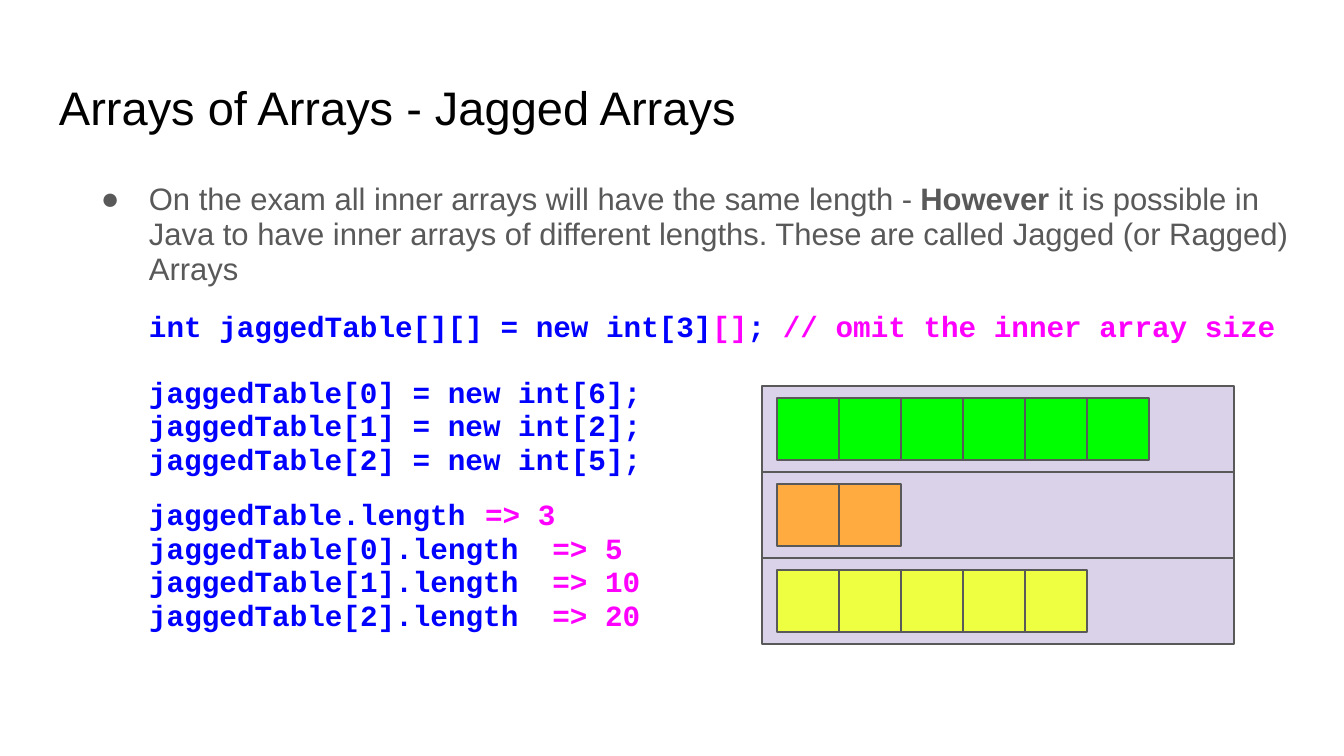
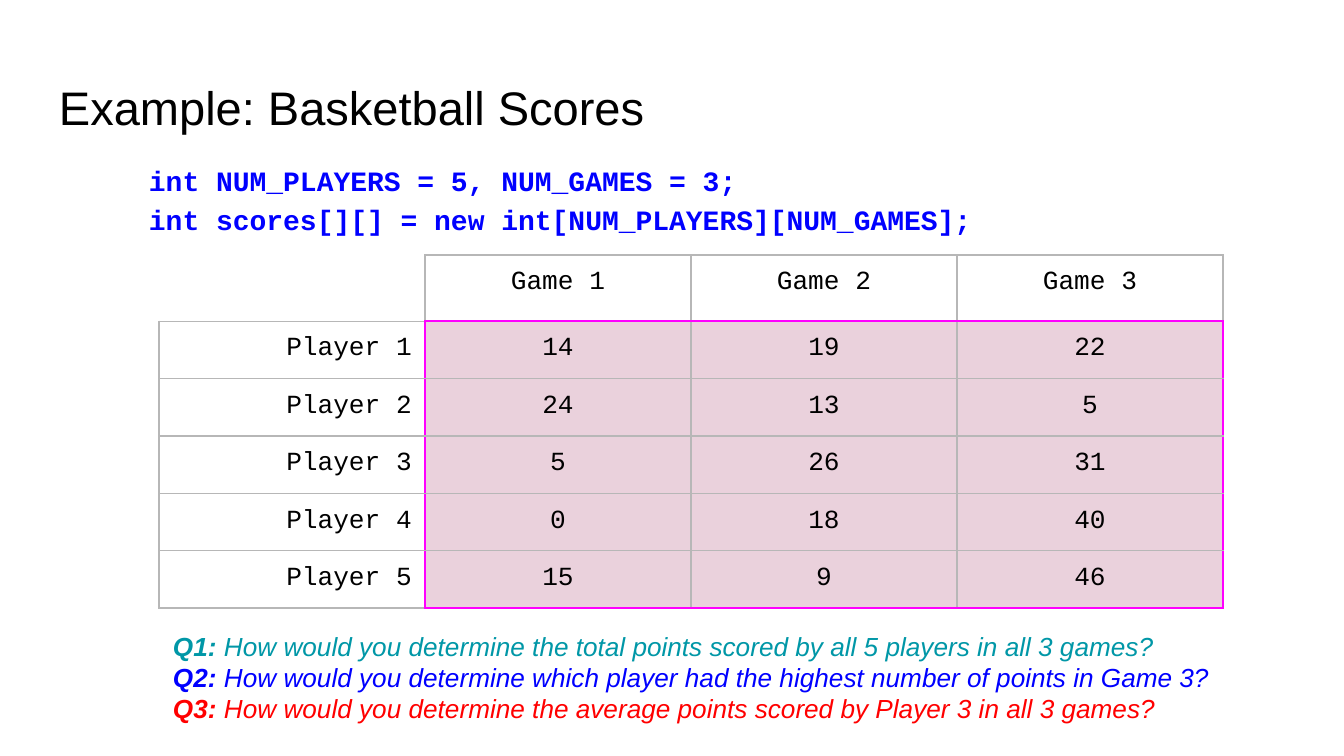
from lxml.etree import SubElement
from pptx import Presentation
from pptx.dml.color import RGBColor
from pptx.enum.shapes import MSO_SHAPE
from pptx.enum.text import MSO_ANCHOR, MSO_AUTO_SIZE, PP_ALIGN
from pptx.oxml.ns import qn
from pptx.util import Pt

BLACK = RGBColor(0x00, 0x00, 0x00)
WHITE = RGBColor(0xFF, 0xFF, 0xFF)
GRAY = RGBColor(0x59, 0x59, 0x59)
GRID = RGBColor(0xB7, 0xB7, 0xB7)
BLUE = RGBColor(0x00, 0x00, 0xFF)
MAGENTA = RGBColor(0xFF, 0x00, 0xFF)
TEAL = RGBColor(0x00, 0x97, 0xA7)
RED = RGBColor(0xFF, 0x00, 0x00)
GREEN = RGBColor(0x00, 0xFF, 0x00)
ORANGE = RGBColor(0xFF, 0xAB, 0x40)
YELLOW = RGBColor(0xEE, 0xFF, 0x41)
LAVENDER = RGBColor(0xD9, 0xD2, 0xE9)
PINK = RGBColor(0xEA, 0xD1, 0xDC)

SANS = "Arial"
MONO = "Courier New"
SLIDE_WIDTH, SLIDE_HEIGHT = 1344, 756
EMU_PER_PIXEL = 914400 / 134.4
INSET = 13
INDENT = 67


def px(length):
    return round(length * EMU_PER_PIXEL)


def add_solid(parent, color):
    solid = SubElement(parent, qn("a:solidFill"))
    SubElement(solid, qn("a:srgbClr"), val=str(color))


class Deck:
    def __init__(self):
        self.presentation = Presentation()
        self.presentation.slide_width = px(SLIDE_WIDTH)
        self.presentation.slide_height = px(SLIDE_HEIGHT)
        self.slide = None

    def new_slide(self, title):
        layout = self.presentation.slide_layouts[6]
        self.slide = self.presentation.slides.add_slide(layout)
        heading = self.text_box(46, 66, 1253, 85)
        self.paragraph(heading, [(title,)], 25.2, SANS, BLACK)

    def text_box(self, left, top, width, height):
        box = self.slide.shapes.add_textbox(px(left), px(top), px(width), px(height))
        frame = box.text_frame
        frame.word_wrap = True
        frame.vertical_anchor = MSO_ANCHOR.TOP
        self.inset(frame)
        return frame

    def body(self, top):
        return self.text_box(69, top, 1253, 503)

    def inset(self, target):
        target.margin_left = target.margin_right = px(INSET)
        target.margin_top = target.margin_bottom = px(INSET)

    def paragraph(self, frame, runs, size, face, color, bold=False, italic=False,
                  spacing=None, before=0, after=0, left=0, first=0,
                  bullet=None, tabs=()):
        paragraph = frame.paragraphs[0]
        if paragraph.runs:
            paragraph = frame.add_paragraph()
        properties = paragraph._p.get_or_add_pPr()
        properties.set("marL", str(px(left)))
        properties.set("indent", str(px(first)))
        if bullet:
            bullet_color = SubElement(properties, qn("a:buClr"))
            SubElement(bullet_color, qn("a:srgbClr"), val=str(color))
            SubElement(properties, qn("a:buFont"), typeface=face)
            SubElement(properties, qn("a:buChar"), char=bullet)
        if tabs:
            stops = SubElement(properties, qn("a:tabLst"))
            for stop in tabs:
                SubElement(stops, qn("a:tab"), pos=str(px(stop)), algn="l")
        if spacing:
            paragraph.line_spacing = spacing
        paragraph.space_before, paragraph.space_after = Pt(before), Pt(after)
        self.font(paragraph.font, size, face, color)
        paragraph.font.bold, paragraph.font.italic = bold, italic
        for text, *emphasis in runs:
            for number, line in enumerate(text.split("\n")):
                if number:
                    paragraph.add_line_break()
                if line:
                    run = paragraph.add_run()
                    run.text = line
                    if "bold" in emphasis:
                        run.font.bold = True
                    elif emphasis:
                        run.font.color.rgb = emphasis[0]
        return paragraph

    def font(self, font, size, face, color):
        font.size, font.name = Pt(size), face
        font.color.rgb = color

    def code(self, frame, runs, size, spacing, **layout):
        self.paragraph(frame, runs, size, MONO, BLUE, bold=True, spacing=spacing, **layout)

    def rectangle(self, left, top, width, height, fill):
        shape = self.slide.shapes.add_shape(
            MSO_SHAPE.RECTANGLE, px(left), px(top), px(width), px(height))
        shape.shadow.inherit = False
        shape.fill.solid()
        shape.fill.fore_color.rgb = fill
        shape.line.color.rgb = GRAY
        shape.line.width = Pt(0.75)

    def array_row(self, left, top, count, color):
        self.rectangle(left, top, 472, 86, LAVENDER)
        for index in range(count):
            self.rectangle(left + 15 + 62 * index, top + 12, 62, 62, color)

    def borders(self, cell, colors):
        properties = cell._tc.get_or_add_tcPr()
        for side, color in zip("LRTB", colors):
            width = Pt(1.5 if color == MAGENTA else 0.75)
            line = SubElement(properties, qn(f"a:ln{side}"), w=str(width))
            add_solid(line, color)

    def score_table(self, left, top, column_width, row_heights, rows):
        last_row, last_column = len(rows) - 1, len(rows[0]) - 1
        frame = self.slide.shapes.add_table(
            len(rows), len(rows[0]), px(left), px(top),
            px(column_width * len(rows[0])), px(sum(row_heights)))
        table = frame.table
        table.first_row = table.horz_banding = False
        for column in table.columns:
            column.width = px(column_width)
        for row, height in zip(table.rows, row_heights):
            row.height = px(height)
        for r, values in enumerate(rows):
            for c, value in enumerate(values):
                cell = table.cell(r, c)
                self.inset(cell)
                corner = WHITE if r == c == 0 else GRID
                self.borders(cell, (
                    MAGENTA if r and c == 1 else corner,
                    MAGENTA if r and c in (0, last_column) else GRID,
                    MAGENTA if c and r == 1 else corner,
                    MAGENTA if c and r in (0, last_row) else GRID))
                if r and c:
                    cell.fill.solid()
                    cell.fill.fore_color.rgb = PINK
                else:
                    cell.fill.background()
                if value != "":
                    entry = self.paragraph(cell.text_frame, [(str(value),)], 14, MONO, BLACK)
                    entry.alignment = PP_ALIGN.CENTER if c else PP_ALIGN.RIGHT


deck = Deck()

deck.new_slide("Arrays of Arrays - Jagged Arrays")
explanation = deck.body(169)
deck.paragraph(explanation, [
    ("On the exam all inner arrays will have the same length - ",),
    ("However", "bold"),
    (" it is possible in Java to have inner arrays of different lengths. "
     "These are called Jagged (or Ragged) Arrays",),
], 16.6, SANS, GRAY, spacing=0.95, left=INDENT, first=-48, bullet="●")
deck.code(explanation, [
    ("int jaggedTable[][] = new int[3]",), ("[]", MAGENTA), ("; ",),
    ("// omit the inner array size", MAGENTA),
], 15.7, 0.95, before=12, left=INDENT)

arrays = [(6, GREEN), (2, ORANGE), (5, YELLOW)]
allocations = "\n".join(
    f"jaggedTable[{index}] = new int[{count}];" for index, (count, _) in enumerate(arrays))
deck.code(explanation, [(allocations,)], 15.7, 0.95, before=17.5, left=INDENT)

lengths = [("jaggedTable.length\t",), ("=> 3", MAGENTA)]
for index, answer in enumerate((5, 10, 20)):
    lengths += [(f"\n\tjaggedTable[{index}].length\t",), (f"=> {answer}", MAGENTA)]
deck.code(explanation, lengths, 15.7, 0.95, before=12, after=12, first=INDENT,
          tabs=(134, 472, 539))

for index, (count, color) in enumerate(arrays):
    deck.array_row(762, 386 + 86 * index, count, color)

deck.new_slide("Example: Basketball Scores")
declaration = deck.body(146)
deck.code(declaration, [
    ("int NUM_PLAYERS = 5, NUM_GAMES = 3;\n"
     "int scores[][] = new int[NUM_PLAYERS][NUM_GAMES];",),
], 15, 1.15, left=INDENT)

scores = [(14, 19, 22), (24, 13, 5), (5, 26, 31), (0, 18, 40), (15, 9, 46)]
header = ["", *(f"Game {game}" for game in range(1, 4))]
players = [(f"Player {number}", *points) for number, points in enumerate(scores, 1)]
deck.score_table(159, 255, 266, [65] + [56] * len(players), [header, *players])

questions = deck.text_box(160, 617, 1064, 122)
questions.auto_size = MSO_AUTO_SIZE.SHAPE_TO_FIT_TEXT
for number, (color, question) in enumerate([
    (TEAL, "the total points scored by all 5 players in all 3 games?"),
    (BLUE, "which player had the highest number of points in Game 3?"),
    (RED, "the average points scored by Player 3 in all 3 games?"),
], 1):
    deck.paragraph(questions, [
        (f"Q{number}: ", "bold"), (f"How would you determine {question}",),
    ], 14, SANS, color, italic=True)

deck.presentation.save("out.pptx")
